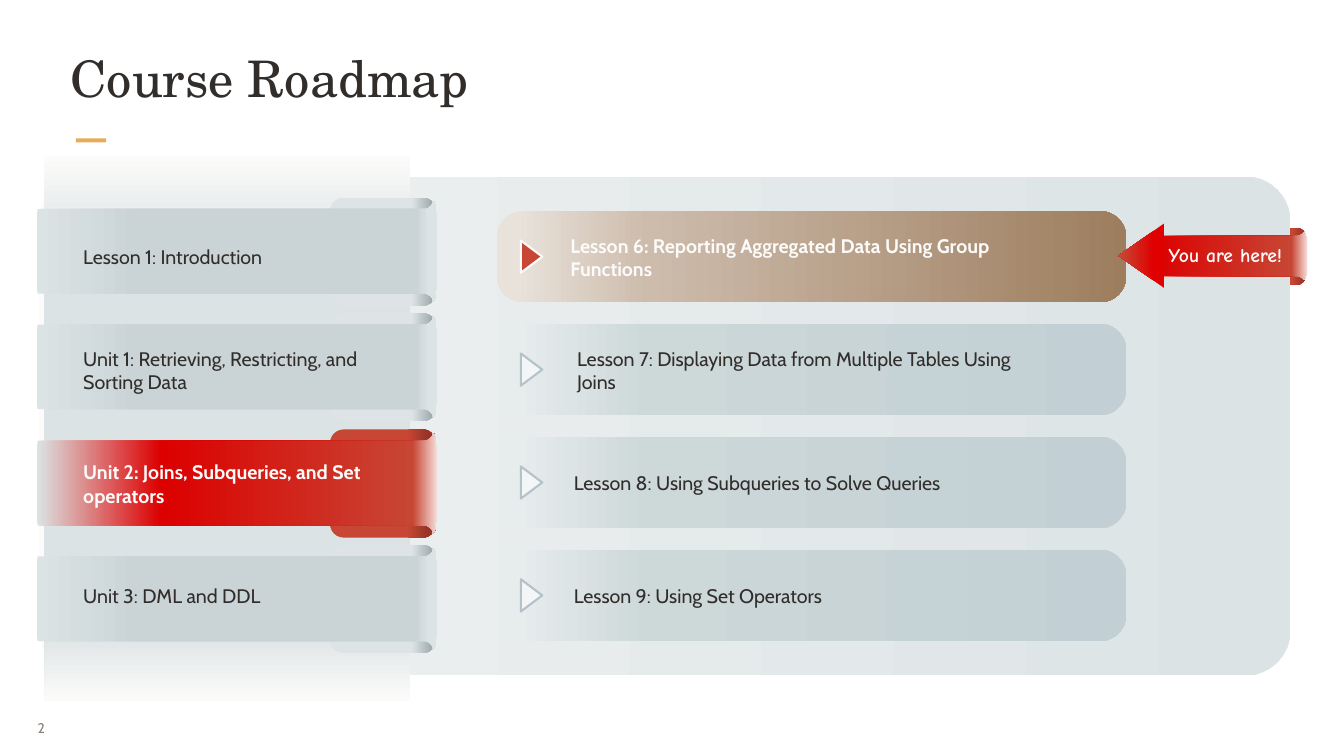
"""Build the course roadmap slide with units on the left and lessons on the right."""
from lxml import etree
from pptx import Presentation
from pptx import util as u
from pptx.dml.color import RGBColor
from pptx.enum import shapes, text
from pptx.oxml import ns

SCALE = 9144
BODY_FONT = "Cabin"
INK = RGBColor(0x31, 0x2D, 0x2A)
IVORY = RGBColor(0xFC, 0xFB, 0xFA)
TAUPE = RGBColor(0x8B, 0x80, 0x78)
GOLD = RGBColor(0xE6, 0xAC, 0x58)
BRICK = RGBColor(0xC7, 0x46, 0x34)
DARK_BRICK = RGBColor(0x95, 0x34, 0x27)
RED = RGBColor(0xDC, 0x00, 0x00)
BRIGHT_RED = RGBColor(0xE0, 0x00, 0x00)
BLUSH = RGBColor(0xF4, 0xDA, 0xD6)
MIST = RGBColor(0xDC, 0xE3, 0xE4)
PALE_MIST = RGBColor(0xEA, 0xEE, 0xEF)
TAB_GREY = RGBColor(0xDE, 0xE4, 0xE5)
STEEL = RGBColor(0x96, 0xA2, 0xA7)
SILVER = RGBColor(0xCA, 0xD4, 0xD7)
FROST = RGBColor(0xF3, 0xF5, 0xF6)
BLUE_GREY = RGBColor(0xB4, 0xC3, 0xC9)

PANEL_FILL = [(0, IVORY), (26, PALE_MIST), (100, MIST)]
UNIT_PANEL_FILL = [(0, IVORY), (17, MIST), (87, MIST), (100, IVORY)]
LESSON_FILL = [(3, RGBColor(0xE7, 0xEC, 0xED)), (24, RGBColor(0xCD, 0xD8, 0xD9)),
               (100, RGBColor(0xC2, 0xCF, 0xD4))]
CURRENT_LESSON_FILL = [(3, RGBColor(0xE9, 0xE2, 0xDB)), (24, RGBColor(0xCD, 0xBC, 0xAC)),
                       (100, RGBColor(0x9D, 0x7D, 0x5E))]
TAB_FILL = [(77, TAB_GREY), (99, STEEL)]
CURRENT_TAB_FILL = [(73, BRICK), (92, DARK_BRICK)]
RIBBON_FILL = [(0, MIST), (25, SILVER), (95, SILVER), (98, MIST)]
CURRENT_RIBBON_FILL = [(0, MIST), (31, RED), (94, BRICK), (100, BLUSH)]
FLAP_FILL = [(11, BRICK), (92, DARK_BRICK)]
BANNER_FILL = [(0, RED), (90, BRICK), (100, BLUSH)]
ARROW_FILL = [(0, BRIGHT_RED), (23, BRIGHT_RED), (96, BRICK)]

RIBBON_EDGE = [(0, 20), (1, 12), (577, 12), (581, 12, 585, 9, 588, 5),
               (589, 0), (590, 0), (593, 5, 595, 12, 595, 20)]
BANNER_EDGE = [(0, 6), (215, 6), (219, 6, 222, 4, 224, 2), (225, 0),
               (228, 2, 230, 6, 230, 9)]
FLAP_EDGE = [(0, 0), (9, 0), (17, 0, 23, 6, 23, 14)]

UNITS = [
    ("Lesson 1: Introduction", (114, 359, 363, 45)),
    ("Unit 1: Retrieving, Restricting, and Sorting Data", (114, 510, 481, 81)),
    ("Unit 2: Joins, Subqueries, and Set operators", (114, 679, 489, 81)),
    ("Unit 3: DML and DDL", (114, 864, 363, 45)),
]
CURRENT_UNIT = 2
LESSONS = [
    ("Lesson 6: Reporting Aggregated Data Using Group Functions", (839, 342, 737, 81)),
    ("Lesson 7: Displaying Data from Multiple Tables Using Joins", (849, 510, 670, 81)),
    ("Lesson 8: Using Subqueries to Solve Queries", (844, 696, 670, 45)),
    ("Lesson 9: Using Set Operators", (844, 864, 670, 45)),
]
CURRENT_LESSON = 0


def px(*lengths):
    """Turn px lengths into EMU."""
    return [u.Emu(round(length * SCALE)) for length in lengths]


def paint(shape, fill, angle=0):
    """Fill a shape with one colour or with gradient stops, without outline or shadow."""
    shape.shadow.inherit = False
    shape.line.fill.background()
    if isinstance(fill, RGBColor):
        shape.fill.solid()
        shape.fill.fore_color.rgb = fill
        return
    shape.fill.gradient()
    shape.fill.gradient_angle = -angle % 360
    stop_list = shape._element.spPr.find(".//" + ns.qn("a:gsLst"))
    for stop in list(stop_list):
        stop_list.remove(stop)
    for position, colour in fill:
        stop = etree.SubElement(stop_list, ns.qn("a:gs"), pos=str(position * 1000))
        etree.SubElement(stop, ns.qn("a:srgbClr"), val=str(colour))


def add_block(parent, kind, box, fill, angle=0, rotation=0, corner=None):
    """Add a painted preset shape."""
    shape = parent.add_shape(kind, *px(*box))
    paint(shape, fill, angle)
    shape.rotation = rotation
    if corner is not None:
        shape.adjustments[0] = corner
    return shape


def trace(edge, steps=6):
    """Return the points along an edge made of lines and cubic curves."""
    points = []
    for part in edge:
        if len(part) == 2:
            points.append(part)
            continue
        controls = [points[-1], part[:2], part[2:4], part[4:]]
        for step in range(1, steps + 1):
            t = step / steps
            weights = ((1 - t) ** 3, 3 * t * (1 - t) ** 2, 3 * t * t * (1 - t), t ** 3)
            points.append(tuple(sum(weight * control[axis]
                                    for weight, control in zip(weights, controls))
                                for axis in (0, 1)))
    return points


def add_ribbon(parent, left, top, height, edge, fill):
    """Add an outline whose lower half mirrors the given upper edge."""
    upper = trace(edge)
    lower = [(x, height - y) for x, y in reversed(upper)]
    outline = [px(left + x, top + y) for x, y in upper + lower]
    builder = parent.build_freeform(*outline[0])
    builder.add_line_segments(outline[1:], close=True)
    paint(builder.convert_to_shape(), fill)


def format_text(frame, words, size, colour, font=BODY_FONT, bold=False,
                align=text.PP_ALIGN.LEFT):
    """Write one paragraph and format its run."""
    frame.word_wrap = True
    frame.text = words
    paragraph = frame.paragraphs[0]
    paragraph.alignment = align
    run_font = paragraph.runs[0].font
    run_font.name = font
    run_font.size = u.Pt(size)
    run_font.bold = bold
    run_font.color.rgb = colour


def add_label(parent, box, words, colour=INK, anchor=text.MSO_ANCHOR.MIDDLE, **style):
    """Add a text box that fits its text."""
    frame = parent.add_textbox(*px(*box)).text_frame
    format_text(frame, words, 21, colour, **style)
    frame.vertical_anchor = anchor
    frame.auto_size = text.MSO_AUTO_SIZE.SHAPE_TO_FIT_TEXT


def add_title(slide):
    """Place the title, the accent bar and the page number."""
    add_block(slide.shapes, shapes.MSO_SHAPE.RECTANGLE, (113, 206, 45, 6), GOLD)
    title = slide.shapes.title
    title.left, title.top, title.width, title.height = px(102, 67, 1796, 128)
    frame = title.text_frame
    format_text(frame, "Course Roadmap", 54, INK, font="TeX Gyre Schola")
    frame.vertical_anchor = text.MSO_ANCHOR.TOP
    frame.auto_size = text.MSO_AUTO_SIZE.NONE
    frame.margin_left, frame.margin_top, frame.margin_right, frame.margin_bottom = px(3, 3, 3, 3)
    frame = slide.shapes.add_textbox(*px(43, 1054, 65, 58)).text_frame
    format_text(frame, "2", 15, TAUPE, align=text.PP_ALIGN.JUSTIFY)
    frame.vertical_anchor = text.MSO_ANCHOR.MIDDLE
    frame.margin_left, frame.margin_top, frame.margin_right, frame.margin_bottom = px(13, 7, 13, 7)


def add_lesson(parent, index, words, box):
    """Add a lesson card with its marker and label."""
    current = index == CURRENT_LESSON
    offset = 168 * index
    add_block(parent, shapes.MSO_SHAPE.ROUNDED_RECTANGLE, (739, 314 + offset, 937, 136),
              CURRENT_LESSON_FILL if current else LESSON_FILL, corner=0.29)
    add_label(parent, box, words, IVORY if current else INK, bold=current)
    marker = add_block(parent, shapes.MSO_SHAPE.ISOSCELES_TRIANGLE,
                       (767, 366 + offset, 48, 32), BRICK if current else FROST, rotation=90)
    marker.line.color.rgb = IVORY if current else BLUE_GREY
    marker.line.width = u.Pt(2.25)


def add_unit(parent, index, words, box):
    """Add a unit ribbon folded over its tab."""
    current = index == CURRENT_UNIT
    top = 294 + round(172.4 * index)
    add_block(parent, shapes.MSO_SHAPE.ROUNDED_RECTANGLE, (491, top, 158, 161),
              CURRENT_TAB_FILL if current else TAB_FILL, corner=0.13)
    add_ribbon(parent, 55, top + 5, 150, RIBBON_EDGE,
               CURRENT_RIBBON_FILL if current else RIBBON_FILL)
    add_label(parent, box, words, IVORY if current else INK, bold=current)


def add_banner(parent):
    """Add the grouped arrow banner that marks the current lesson."""
    group = parent.add_group_shape().shapes
    add_ribbon(group, 1920, 339, 85, FLAP_EDGE, FLAP_FILL)
    add_ribbon(group, 1715, 345, 72, BANNER_EDGE, BANNER_FILL)
    add_block(group, shapes.MSO_SHAPE.ISOSCELES_TRIANGLE, (1650, 346, 97, 69),
              ARROW_FILL, angle=270, rotation=270)
    add_label(group, (1715, 356, 217, 50), "You are here!", IVORY, text.MSO_ANCHOR.TOP,
              font="Comic Neue", bold=True, align=text.PP_ALIGN.CENTER)


def main():
    """Build and save the slide."""
    presentation = Presentation()
    presentation.slide_width, presentation.slide_height = px(2000, 1125)
    slide = presentation.slides.add_slide(presentation.slide_layouts[5])
    add_title(slide)
    add_block(slide.shapes, shapes.MSO_SHAPE.ROUNDED_RECTANGLE, (58, 263, 1862, 742),
              PANEL_FILL, corner=0.09)
    add_block(slide.shapes, shapes.MSO_SHAPE.RECTANGLE, (66, 232, 544, 811),
              UNIT_PANEL_FILL, angle=90)
    for index, (words, box) in enumerate(LESSONS):
        add_lesson(slide.shapes, index, words, box)
    add_banner(slide.shapes)
    for index, (words, box) in enumerate(UNITS):
        add_unit(slide.shapes, index, words, box)
    presentation.save("out.pptx")


if __name__ == "__main__":
    main()
